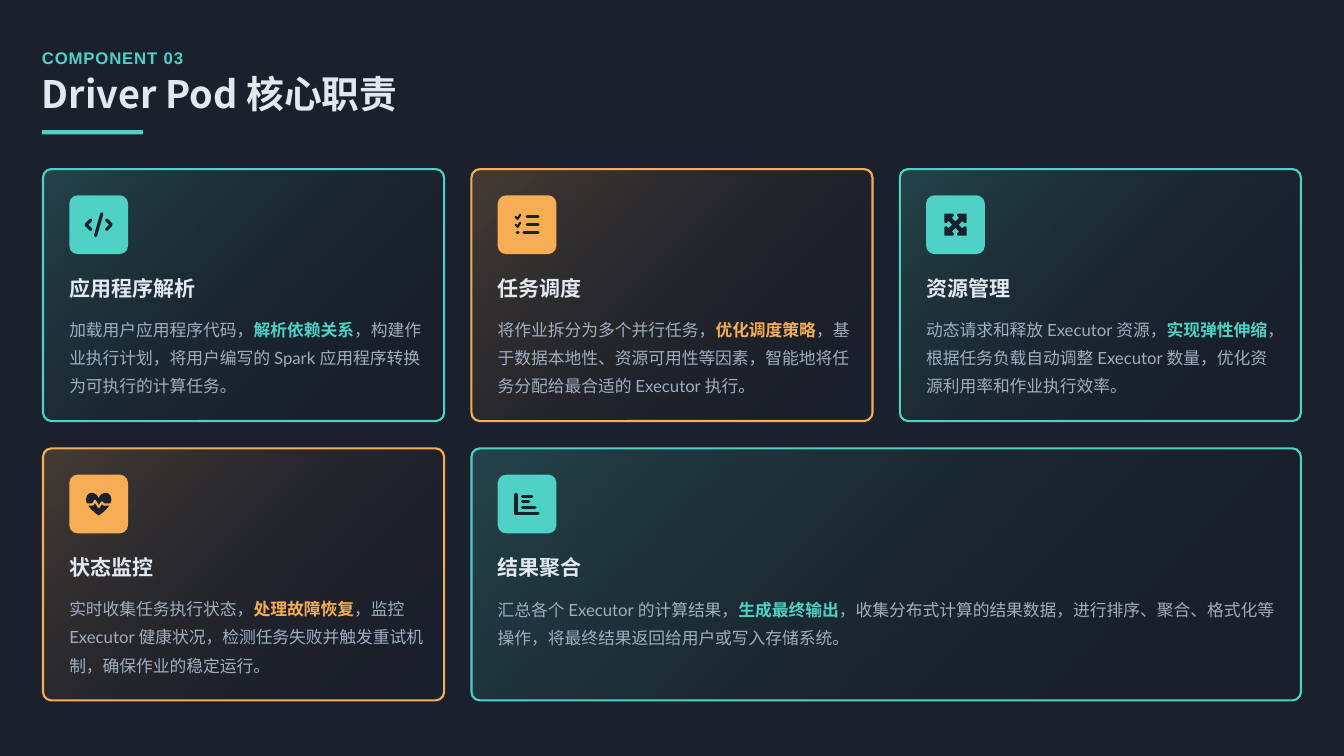
from dataclasses import dataclass
from typing import Any

import pptx
import pptx.dml.color
import pptx.enum.shapes
import pptx.enum.text
import pptx.oxml
import pptx.oxml.ns
import pptx.util

PX = 12700  # EMU per px; the slide is 1280 x 720 px
UNIT = PX // 2  # icons are drawn on a 48 x 48 grid, 24 px wide
COLORS = {"bg": "1A202C", "teal": "4FD1C5", "orange": "F6AD55",
          "heading": "E2E8F0", "body": "A0AEC0", "clear": "000000"}
CJK = "Noto Sans CJK SC"
SHAPES = pptx.enum.shapes.MSO_SHAPE
qn = pptx.oxml.ns.qn


@dataclass
class Stroke:
    points: list[tuple[int, int]]
    width: int = 3
    color: str = "bg"


@dataclass
class Icon:
    strokes: list[Stroke]
    polygon: list[tuple[int, int]] | None = None
    heart: bool = False


@dataclass
class Card:
    col: int
    row: int
    span: int
    accent: str
    icon: Icon
    title: str
    body: tuple[str, str, str]  # the middle part is highlighted


def expand_arrows() -> list[tuple[int, int]]:
    """Turn one corner arrow around the centre four times."""
    arm = [(-6, 0), (-13, -7), (-17, -3), (-21, -4),
           (-21, -21), (-4, -21), (-3, -17), (-7, -13)]
    points = []
    for _ in range(4):
        points += [(24 + x, 24 + y) for x, y in arm]
        arm = [(-y, x) for x, y in arm]
    return points


CODE = Icon([Stroke([(30, 3), (18, 45)]),
             Stroke([(39, 15), (48, 24), (39, 33)]),
             Stroke([(9, 15), (0, 24), (9, 33)])])
CHECKLIST = Icon([Stroke([(2, y), (6, y + 4), (11, y - 4)], 2) for y in (9, 24)]
                 + [Stroke([(x, y), (45, y)]) for x, y in ((24, 9), (24, 24), (18, 39))]
                 + [Stroke([(5, 39), (7, 39)])])
ARROWS = Icon([], polygon=expand_arrows())
PULSE = Icon([Stroke([(0, 25), (13, 25), (17, 18), (24, 30), (30, 21), (34, 25), (48, 25)],
                     2, "orange")], heart=True)
CHART = Icon([Stroke([(3, 6), (3, 42), (45, 42)])]
             + [Stroke([(15, y), (x, y)]) for x, y in ((33, 9), (27, 20), (39, 31))])

CARDS = [
    Card(0, 0, 1, "teal", CODE, "应用程序解析",
         ("加载用户应用程序代码，", "解析依赖关系",
          "，构建作业执行计划，将用户编写的 Spark 应用程序转换为可执行的计算任务。")),
    Card(1, 0, 1, "orange", CHECKLIST, "任务调度",
         ("将作业拆分为多个并行任务，", "优化调度策略",
          "，基于数据本地性、资源可用性等因素，智能地将任务分配给最合适的 Executor 执行。")),
    Card(2, 0, 1, "teal", ARROWS, "资源管理",
         ("动态请求和释放 Executor 资源，", "实现弹性伸缩",
          "，根据任务负载自动调整 Executor 数量，优化资源利用率和作业执行效率。")),
    Card(0, 1, 1, "orange", PULSE, "状态监控",
         ("实时收集任务执行状态，", "处理故障恢复",
          "，监控 Executor 健康状况，检测任务失败并触发重试机制，确保作业的稳定运行。")),
    Card(1, 1, 2, "teal", CHART, "结果聚合",
         ("汇总各个 Executor 的计算结果，", "生成最终输出",
          "，收集分布式计算的结果数据，进行排序、聚合、格式化等操作，将最终结果返回给用户或写入存储系统。")),
]


def rgb(name: str) -> pptx.dml.color.RGBColor:
    return pptx.dml.color.RGBColor.from_string(COLORS[name])


def fill_plain(sp: Any, color: str) -> None:
    sp.shadow.inherit = False
    sp.fill.solid()
    sp.fill.fore_color.rgb = rgb(color)
    sp.line.fill.background()


def add_box(slide: Any, kind: Any, x: int, y: int, w: int, h: int, color: str) -> Any:
    sp = slide.shapes.add_shape(kind, x * PX, y * PX, w * PX, h * PX)
    if kind == SHAPES.ROUNDED_RECTANGLE:
        sp.adjustments[0] = 8 / min(w, h)
    fill_plain(sp, color)
    return sp


def write_text(sp: Any, box: tuple[int, int, int, int], parts: list[tuple[str, str, bool]],
               size: int, font: str, spacing: float) -> Any:
    """Place sp and fill it with one paragraph of (text, colour, bold) parts."""
    sp.left, sp.top, sp.width, sp.height = (v * PX for v in box)
    tf = sp.text_frame
    tf.word_wrap = True
    tf.auto_size = pptx.enum.text.MSO_AUTO_SIZE.NONE
    tf.vertical_anchor = pptx.enum.text.MSO_ANCHOR.MIDDLE
    tf.margin_left = tf.margin_top = tf.margin_right = tf.margin_bottom = 0
    p = tf.paragraphs[0]
    p.alignment = pptx.enum.text.PP_ALIGN.LEFT
    p.line_spacing = spacing
    p.font.size = pptx.util.Pt(size)
    p.font.name = font
    props = p._p.pPr.find(qn("a:defRPr"))
    pptx.oxml.ns  # East Asian face follows the Latin one
    props.append(pptx.oxml.parse_xml(
        f'<a:ea {pptx.oxml.ns.nsdecls("a")} typeface="{CJK}"/>'))
    if len(parts) == 1:
        p.font.color.rgb, p.font.bold = rgb(parts[0][1]), parts[0][2]
    for text, color, bold in parts:
        r = p.add_run()
        r.text = text
        if len(parts) > 1:
            r.font.color.rgb, r.font.bold = rgb(color), bold
    return props


def add_text(slide: Any, box: tuple[int, int, int, int], parts: list[tuple[str, str, bool]],
             size: int, font: str, spacing: float) -> Any:
    return write_text(slide.shapes.add_textbox(0, 0, 0, 0), box, parts, size, font, spacing)


def add_path(slide: Any, points: list[tuple[int, int]], close: bool) -> Any:
    builder = slide.shapes.build_freeform(*points[0], scale=1.0)
    builder.add_line_segments(points[1:], close=close)
    return builder.convert_to_shape()


def add_stroke(slide: Any, x: int, y: int, stroke: Stroke) -> None:
    points = [(x * PX + u * UNIT, y * PX + v * UNIT) for u, v in stroke.points]
    if len(points) == 2:
        sp = slide.shapes.add_connector(
            pptx.enum.shapes.MSO_CONNECTOR.STRAIGHT, *points[0], *points[1])
    else:
        sp = add_path(slide, points, False)
        sp.shadow.inherit = False
        sp.fill.background()
    sp.line.color.rgb = rgb(stroke.color)
    sp.line.width = stroke.width * PX
    ln = sp._element.spPr.find(qn("a:ln"))
    ln.set("cap", "rnd")
    ln.append(ln.makeelement(qn("a:round"), {}))
    if len(points) == 2:
        ln.addnext(ln.makeelement(qn("a:effectLst"), {}))


def add_icon(slide: Any, x: int, y: int, icon: Icon) -> None:
    if icon.heart:
        add_box(slide, SHAPES.HEART, x, y + 1, 24, 22, "bg")
    if icon.polygon:
        points = [(x * PX + u * UNIT, y * PX + v * UNIT) for u, v in icon.polygon]
        fill_plain(add_path(slide, points, True), "bg")
    for stroke in icon.strokes:
        add_stroke(slide, x, y, stroke)


def add_card(slide: Any, card: Card) -> None:
    x, y = 41 + 408 * card.col, 161 + 266 * card.row
    w = 408 * card.span - 26
    sp = add_box(slide, SHAPES.ROUNDED_RECTANGLE, x, y, w, 240, card.accent)
    sp.fill.gradient()
    sp.fill.gradient_angle = 315
    stops = zip(sp.fill.gradient_stops, (card.accent, "clear"), (0, 1), (20000, 0))
    for stop, color, position, _ in stops:
        stop.color.rgb, stop.position = rgb(color), position
    for clr, alpha in zip(sp._element.spPr.iter(qn("a:srgbClr")), (20000, 0)):
        clr.append(clr.makeelement(qn("a:alpha"), {"val": str(alpha)}))
    sp.line.color.rgb = rgb(card.accent)
    sp.line.width = 2 * PX
    left = x + 25
    add_box(slide, SHAPES.ROUNDED_RECTANGLE, left, y + 25, 56, 56, card.accent)
    add_icon(slide, left + 16, y + 41, card.icon)
    add_text(slide, (left, y + 97, w - 40, 28), [(card.title, "heading", True)], 20, CJK, 1.2)
    before, key, after = card.body
    add_text(slide, (left, y + 137, w - 42, 78 if card.span == 1 else 52),
             [(before, "body", False), (key, card.accent, True), (after, "body", False)],
             16, "Lato", 1.4)


def main() -> None:
    prs = pptx.Presentation()
    prs.slide_width, prs.slide_height = 1280 * PX, 720 * PX
    slide = prs.slides.add_slide(prs.slide_layouts[5])
    slide.background.fill.solid()
    slide.background.fill.fore_color.rgb = rgb("bg")
    label = add_text(slide, (40, 40, 1208, 24), [("COMPONENT 03", "teal", True)],
                     16, "Arial", 1.3)
    label.set("spc", "80")
    write_text(slide.shapes.title, (40, 72, 1218, 40),
               [("Driver Pod 核心职责", "heading", True)], 36, CJK, 0.9)
    add_box(slide, SHAPES.RECTANGLE, 40, 124, 96, 4, "teal")
    for card in CARDS:
        add_card(slide, card)
    prs.save("out.pptx")


if __name__ == "__main__":
    main()
